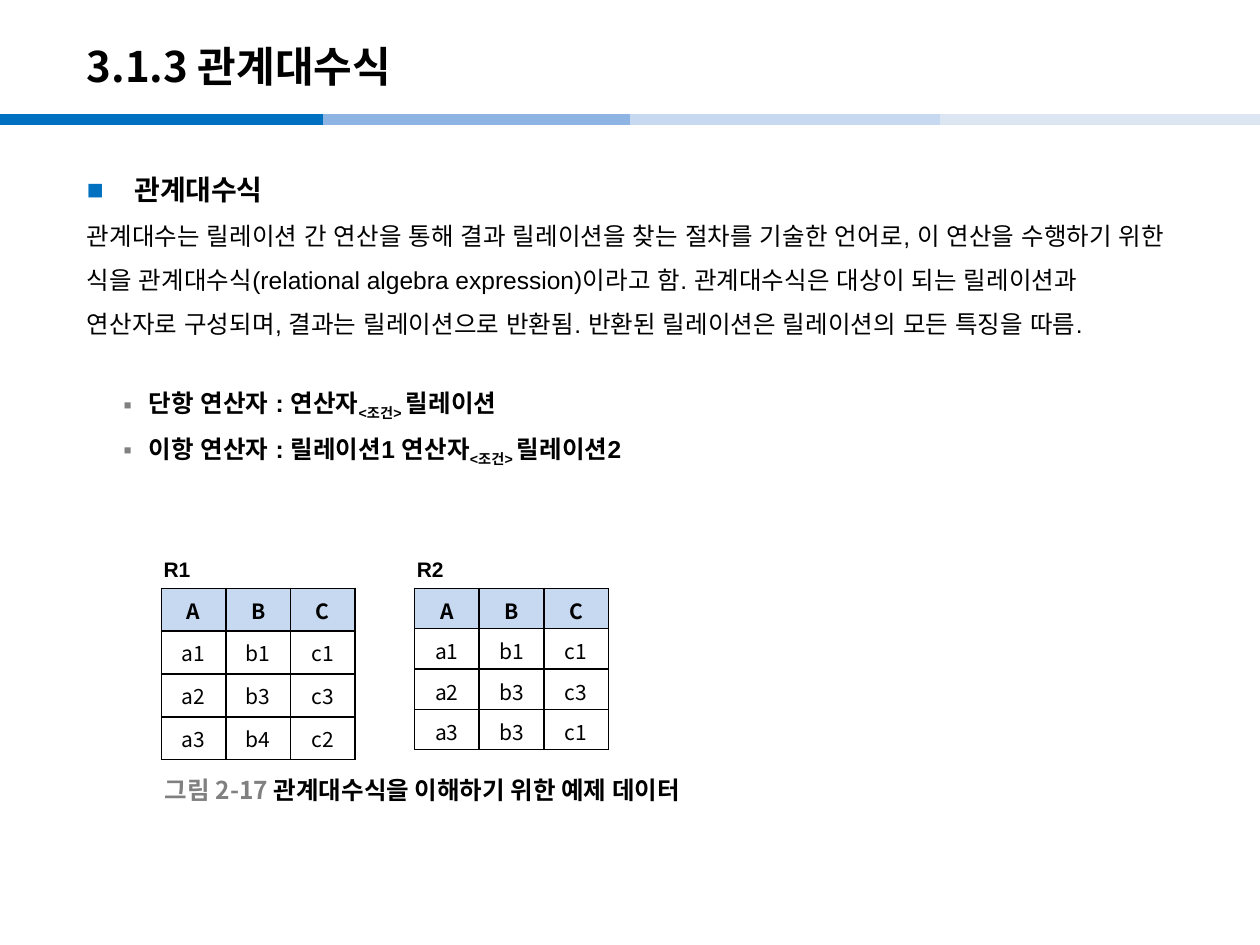
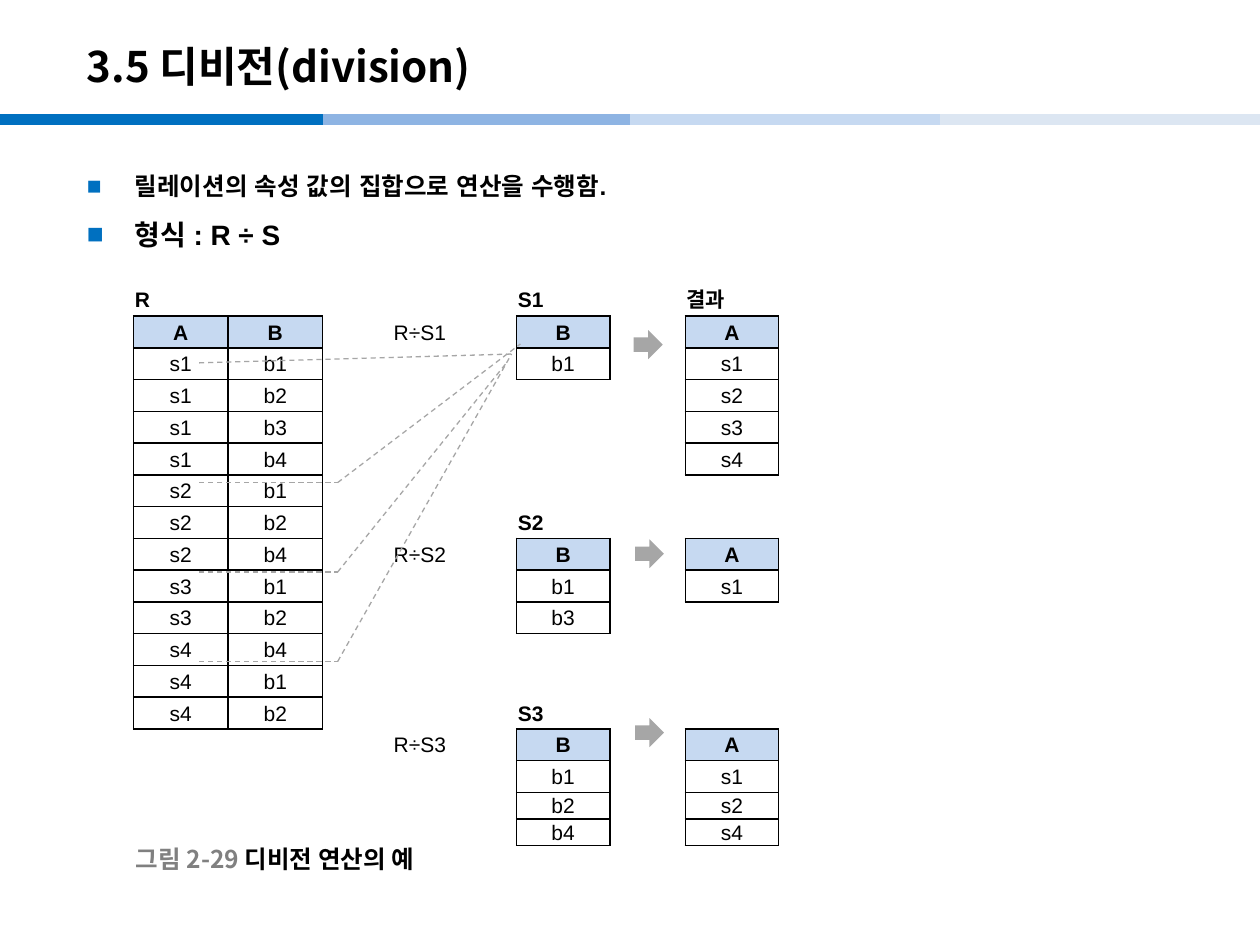
from lxml import etree
from pptx import Presentation
from pptx.dml.color import RGBColor
from pptx.enum.dml import MSO_LINE
from pptx.enum.shapes import MSO_CONNECTOR, MSO_SHAPE
from pptx.enum.text import MSO_ANCHOR, PP_ALIGN
from pptx.oxml.ns import qn
from pptx.util import Inches, Pt

STRAIGHT, DASH, DOWN_ARROW = MSO_CONNECTOR.STRAIGHT, MSO_LINE.DASH, MSO_SHAPE.DOWN_ARROW
TOP, MIDDLE = MSO_ANCHOR.TOP, MSO_ANCHOR.MIDDLE
LEFT, CENTER, RIGHT = PP_ALIGN.LEFT, PP_ALIGN.CENTER, PP_ALIGN.RIGHT

BLACK = RGBColor(0x00, 0x00, 0x00)
GRAY = RGBColor(0x80, 0x80, 0x80)
SILVER = RGBColor(0xA6, 0xA6, 0xA6)
BLUE = RGBColor(0x00, 0x70, 0xC0)
SKY = RGBColor(0x8E, 0xB4, 0xE3)
PALE = RGBColor(0xC6, 0xD9, 0xF1)
FAINT = RGBColor(0xDC, 0xE6, 0xF2)
ARIAL, NOTO = "Arial", "Noto Sans CJK KR"
NO_GRID = "{2D5ABB26-0587-4C30-8999-92F81FD0307C}"

# ---- Content: paragraphs are (runs, format), runs are (text, format) ----
BANDS = [(0, BLUE), (2.56, SKY), (5, PALE), (7.46, FAINT)]
BAND_Y, BAND_W = 0.95, 2.56

HEAD = dict(bullet="■", bullet_color=BLUE, margin=0.38, indent=-0.38, spacing=1.5)
ITEM = dict(bullet="▪", bullet_color=GRAY, margin=0.49, indent=-0.2, level=1,
            before=3, after=4)
BOLD14, SUB14 = dict(size=14, bold=True), dict(size=14, bold=True, baseline=-25)

ALGEBRA_TITLE = "3.1.3 관계대수식"
ALGEBRA_BODY = [
    ([("관계대수식", dict(size=16, bold=True))], HEAD),
    ([("관계대수는 릴레이션 간 연산을 통해 결과 릴레이션을 찾는 절차를 기술한 언어로, "
       "이 연산을 수행하기 위한 식을 관계대수식(relational algebra expression)이라고 함. "
       "관계대수식은 대상이 되는 릴레이션과 연산자로 구성되며, 결과는 릴레이션으로 반환됨. "
       "반환된 릴레이션은 릴레이션의 모든 특징을 따름.", dict(size=14))], dict(spacing=1.5)),
    ([("단항 연산자 : 연산자", BOLD14), ("<조건> ", SUB14), ("릴레이션", BOLD14)],
     {**ITEM, "before": 28}),
    ([("이항 연산자 : 릴레이션1 연산자", BOLD14), ("<조건> ", SUB14),
      ("릴레이션2", BOLD14)], ITEM),
]
# name, left, row height, bottom cell margin, rows
RELATIONS = [
    ("R1", 1.28, 0.34, 0.05, ["A B C", "a1 b1 c1", "a2 b3 c3", "a3 b4 c2"]),
    ("R2", 3.29, 0.32, 0.02, ["A B C", "a1 b1 c1", "a2 b3 c3", "a3 b3 c1"]),
]
RELATION_TOP, RELATION_COL = 4.67, 1.54 / 3
ALGEBRA_CAPTION = ("그림 2-17 ", "관계대수식을 이해하기 위한 예제 데이터")

DIVISION_TITLE = "3.5 디비전(division)"
DIVISION_BODY = [
    ([("릴레이션의 속성 값의 집합으로 연산을 수행함.", BOLD14)], HEAD),
    ([("형식 : R ÷ S", dict(size=16, bold=True))], HEAD),
]
DIVISION_COLS = [0.75, 0.75, 0.38, 0.61, 0.55, 0.74, 0.6, 0.74]
DIVISION_ROWS = [0.26] + [0.252] * 15 + [0.197] * 2
# label, header row, column, header, values
DIVISION_BLOCKS = [
    ("R", 1, 0, "A", "s1 s1 s1 s1 s2 s2 s2 s3 s3 s4 s4 s4"),
    ("", 1, 1, "B", "b1 b2 b3 b4 b1 b2 b4 b1 b2 b4 b1 b2"),
    ("S1", 1, 5, "B", "b1"),
    ("결과", 1, 7, "A", "s1 s2 s3 s4"),
    ("S2", 8, 5, "B", "b1 b3"),
    ("", 8, 7, "A", "s1"),
    ("S3", 14, 5, "B", "b1 b2 b4"),
    ("", 14, 7, "A", "s1 s2 s4"),
]
FORMULAS = {1: "R÷S1", 8: "R÷S2", 14: "R÷S3"}
FORMULA_COL = 3
TRACE_START, TRACE_BEND = 1.58, 2.68
FIRST_TRACE = ((TRACE_START, 2.88), (4.06, 2.81))
BENT_TRACES = [(3.83, (4.13, 2.73)), (4.54, (4.02, 2.88)), (5.25, (4.06, 2.81))]
ARROWS, ARROW_SIZE = [(5.03, 2.62), (5.04, 4.28), (5.04, 5.7)], 0.23
DIVISION_CAPTION = ("그림 2-29 ", "디비전 연산의 예")


# ---- Helpers ----
def add_text(p, text, size=12, font=ARIAL, color=BLACK, bold=False, baseline=0):
    r = p.add_run()
    r.text = text
    r.font.size, r.font.name, r.font.bold = Pt(size), font, bold
    r.font.color.rgb = color
    rpr = r.font._element
    etree.SubElement(rpr, qn("a:ea")).set("typeface", font)
    if baseline:
        rpr.set("baseline", str(baseline * 1000))


def format_paragraph(p, bullet=None, bullet_color=None, margin=0, indent=0,
                     spacing=1.0, level=0, before=0, after=0):
    p.line_spacing, p.level = spacing, level
    p.space_before, p.space_after = Pt(before), Pt(after)
    ppr = p._p.get_or_add_pPr()
    ppr.set("marL", str(Inches(margin)))
    ppr.set("indent", str(Inches(indent)))
    if bullet:
        color = etree.SubElement(ppr, qn("a:buClr"))
        etree.SubElement(color, qn("a:srgbClr")).set("val", str(bullet_color))
        etree.SubElement(ppr, qn("a:buFont")).set("typeface", ARIAL)
        etree.SubElement(ppr, qn("a:buChar")).set("char", bullet)


def add_box(s, x, y, w, h, paragraphs, anchor=TOP, wrap=True):
    tf = s.shapes.add_textbox(Inches(x), Inches(y), Inches(w), Inches(h)).text_frame
    tf.word_wrap, tf.vertical_anchor = wrap, anchor
    for i, (runs, layout) in enumerate(paragraphs):
        p = tf.add_paragraph() if i else tf.paragraphs[0]
        format_paragraph(p, **layout)
        for text, style in runs:
            add_text(p, text, **style)


def add_line(s, start, end, color, width, dash=None):
    line = s.shapes.add_connector(STRAIGHT, *map(Inches, start + end))
    line.line.color.rgb, line.line.width = color, Pt(width)
    if dash:
        line.line.dash_style = dash
    etree.SubElement(line._element.spPr, qn("a:effectLst"))


def add_caption(s, x, y, width, number, text):
    style = dict(size=14, font=NOTO, bold=True)
    runs = [(number, {**style, "color": GRAY}), (text, style)]
    add_box(s, x, y, width, 0.31, [(runs, {})], MIDDLE)


def add_border(tcpr, side, visible):
    ln = etree.SubElement(tcpr, qn("a:ln" + side), w=str(Pt(1)))
    if visible:
        fill = etree.SubElement(ln, qn("a:solidFill"))
        etree.SubElement(fill, qn("a:srgbClr")).set("val", str(BLACK))
    else:
        etree.SubElement(ln, qn("a:noFill"))


def add_grid(s, x, y, cols, rows, cells, boxed, heads, font, margins):
    """cells: {(row, col): (text, alignment, bold)}; boxed cells get borders."""
    table = s.shapes.add_table(len(rows), len(cols), Inches(x), Inches(y),
                               Inches(sum(cols)), Inches(sum(rows))).table
    table.first_row = table.horz_banding = False
    table._tbl.tblPr.find(qn("a:tableStyleId")).text = NO_GRID
    for column, width in zip(table.columns, cols):
        column.width = Inches(width)
    for i, height in enumerate(rows):
        table.rows[i].height = Inches(height)
        for j in range(len(cols)):
            cell = table.cell(i, j)
            cell.vertical_anchor = MIDDLE
            (cell.margin_left, cell.margin_top,
             cell.margin_right, cell.margin_bottom) = map(Inches, margins)
            neighbours = dict(L=(i, j - 1), R=(i, j + 1), T=(i - 1, j), B=(i + 1, j))
            for side, other in neighbours.items():
                add_border(cell._tc.get_or_add_tcPr(), side,
                           (i, j) in boxed or other in boxed)
            if (i, j) in heads:
                cell.fill.solid()
                cell.fill.fore_color.rgb = PALE
            else:
                cell.fill.background()
            p = cell.text_frame.paragraphs[0]
            if (i, j) in cells:
                text, p.alignment, bold = cells[i, j]
                add_text(p, text, font=font, bold=bold)
            else:
                etree.SubElement(p._p, qn("a:endParaRPr")).set("sz", "1000")
    return table


def add_slide(title, body):
    s = prs.slides.add_slide(prs.slide_layouts[6])
    for x, color in BANDS:
        add_line(s, (x, BAND_Y), (x + BAND_W, BAND_Y), color, 6)
    style = dict(size=24, font=NOTO, bold=True)
    add_box(s, 0.59, 0.22, 8.27, 0.6, [([(title, style)], {})], MIDDLE)
    add_box(s, 0.59, 1.19, 8.82, 5.98, body)
    return s


prs = Presentation()
prs.slide_width, prs.slide_height = Inches(10), Inches(7.5)

# ---- Relational algebra ----
s = add_slide(ALGEBRA_TITLE, ALGEBRA_BODY)
for name, x, height, bottom, lines in RELATIONS:
    cells = {(i, j): (text, CENTER, i == 0)
             for i, line in enumerate(lines) for j, text in enumerate(line.split())}
    heads = {key for key in cells if key[0] == 0}
    add_grid(s, x, RELATION_TOP, [RELATION_COL] * 3, [height] * len(lines), cells,
             set(cells), heads, NOTO, (0.1, 0.05, 0.1, bottom))
    add_box(s, x - 0.08, RELATION_TOP - 0.3, 0.41, 0.3,
            [([(name, dict(bold=True))], {})], wrap=False)
add_caption(s, 1.21, 6.11, 4.6, *ALGEBRA_CAPTION)

# ---- Division ----
s = add_slide(DIVISION_TITLE, DIVISION_BODY)
cells, boxed, heads = {}, set(), set()
for label, row, col, header, values in DIVISION_BLOCKS:
    if label:
        cells[row - 1, col] = (label, LEFT, True)
    heads.add((row, col))
    for i, text in enumerate([header] + values.split(), row):
        cells[i, col] = (text, CENTER, i == row)
        boxed.add((i, col))
for row, text in FORMULAS.items():
    cells[row, FORMULA_COL] = (text, RIGHT, False)
table = add_grid(s, 1.06, 2.25, DIVISION_COLS, DIVISION_ROWS, cells, boxed, heads,
                 ARIAL, (0.01, 0.01, 0.01, 0))
last = len(DIVISION_ROWS) - 1
for col in range(len(DIVISION_COLS)):
    if (last, col) not in boxed:
        table.cell(last - 1, col).merge(table.cell(last, col))

# Dashed traces from the matching rows of R to S1
add_line(s, *FIRST_TRACE, SILVER, 0.75, DASH)
for y, target in BENT_TRACES:
    add_line(s, (TRACE_START, y), (TRACE_BEND, y), SILVER, 0.75, DASH)
    add_line(s, (TRACE_BEND, y), target, SILVER, 0.75, DASH)

# Arrows to the results
for x, y in ARROWS:
    sp = s.shapes.add_shape(DOWN_ARROW, Inches(x), Inches(y),
                            Inches(ARROW_SIZE), Inches(ARROW_SIZE))
    sp.rotation = 270
    sp.shadow.inherit = False
    sp.fill.solid()
    sp.fill.fore_color.rgb = SILVER
    sp.line.fill.background()
add_caption(s, 0.98, 6.66, 2.8, *DIVISION_CAPTION)

prs.save("out.pptx")
